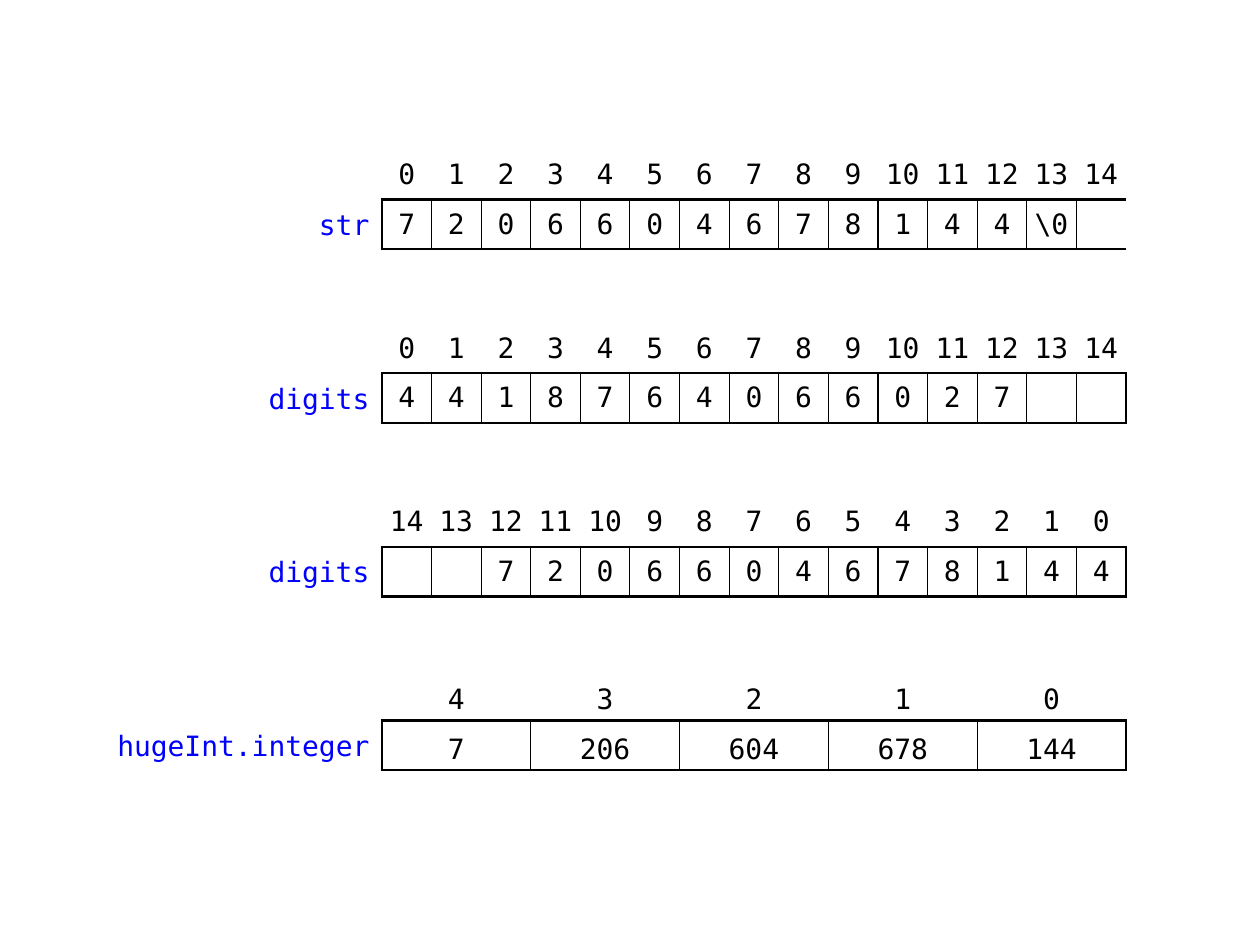
from lxml.etree import SubElement
from pptx import Presentation
from pptx.dml.color import RGBColor
from pptx.enum.text import MSO_ANCHOR as Anchor, PP_ALIGN as Align
from pptx.oxml.ns import qn
from pptx.util import Pt

BLACK = RGBColor(0, 0, 0)
BLUE = RGBColor(0, 0, 255)
FONT = "DejaVu Sans Mono"
NO_STYLE = "{2D5ABB26-0587-4C30-8999-92F81FD0307C}"
UNIT = 28.35
LEFT, TOP, WIDTH, STEP = 218.2, 85.7, 15 * UNIT, 3.5 * UNIT
THICK, THIN = 1.5, 0.75

UP = [str(i) for i in range(15)]
ARRAYS = [
    ("str", 2, UP, [*"7206604678144", "\\0", ""], None, False),
    ("digits", 3, UP, [*"4418764066027", "", ""], None, True),
    ("digits", 3, UP[::-1], ["", "", *"7206604678144"], None, True),
    ("hugeInt.integer", 6, UP[4::-1], ["7", "206", "604", "678", "144"], 1.25, True),
]


def write(tf, text, color, align, spacing=None):
    """Put one formatted line of text in a text frame."""
    p = tf.paragraphs[0]
    p.text = text
    p.alignment = align
    if spacing:
        p.line_spacing = spacing
    for r in p.runs:
        r.font.name = FONT
        r.font.size = Pt(16)
        r.font.color.rgb = color


def set_borders(cell, **widths):
    """Draw black borders on the given sides (L, R, T, B) of a cell."""
    tc_pr = cell._tc.get_or_add_tcPr()
    for side, width in widths.items():
        ln = SubElement(tc_pr, qn(f"a:ln{side}"), w=str(Pt(width)))
        if width:
            fill = SubElement(ln, qn("a:solidFill"))
            SubElement(fill, qn("a:srgbClr"), val=str(BLACK))
        else:
            SubElement(ln, qn("a:noFill"))


def add_label(slide, text, left, top, width, height):
    """Add a blue right-aligned name in the given box."""
    tf = slide.shapes.add_textbox(Pt(left), Pt(top), Pt(width), Pt(height)).text_frame
    tf.word_wrap = True
    tf.vertical_anchor = Anchor.MIDDLE
    write(tf, text, BLUE, Align.RIGHT)


def add_array(slide, indices, values, spacing, closed, left, top, width, height):
    """Add a table with a row of indices above a row of boxed values."""
    n = len(values)
    frame = slide.shapes.add_table(2, n, Pt(left), Pt(top), Pt(width), Pt(height))
    table = frame.table
    table.first_row = table.horz_banding = False
    table._tbl.tblPr.find(qn("a:tableStyleId")).text = NO_STYLE
    for row in table.rows:
        row.height = Pt(height / 2)
    for i, column in enumerate(table.columns):
        column.width = Pt(width / n)
        right = THIN if i < n - 1 else THICK if closed else 0
        set_borders(table.cell(0, i), B=THICK)
        set_borders(table.cell(1, i), L=THIN if i else THICK, R=right, T=THICK, B=THICK)
        for cell, text in zip((table.cell(0, i), table.cell(1, i)), (indices[i], values[i])):
            cell.fill.background()
            cell.margin_left = cell.margin_right = cell.margin_top = cell.margin_bottom = 0
            cell.vertical_anchor = Anchor.MIDDLE
            write(cell.text_frame, text, BLACK, Align.CENTER, spacing)


def main():
    """Build the slide of four labelled arrays."""
    prs = Presentation()
    prs.slide_width, prs.slide_height = Pt(720), Pt(540)
    slide = prs.slides.add_slide(prs.slide_layouts[6])
    for i, (name, units, indices, values, spacing, closed) in enumerate(ARRAYS):
        top = TOP + i * STEP
        add_array(slide, indices, values, spacing, closed, LEFT, top, WIDTH, 2 * UNIT)
        label_width = units * UNIT
        add_label(slide, name, LEFT - label_width, top + UNIT, label_width, UNIT)
    prs.save("out.pptx")


if __name__ == "__main__":
    main()
